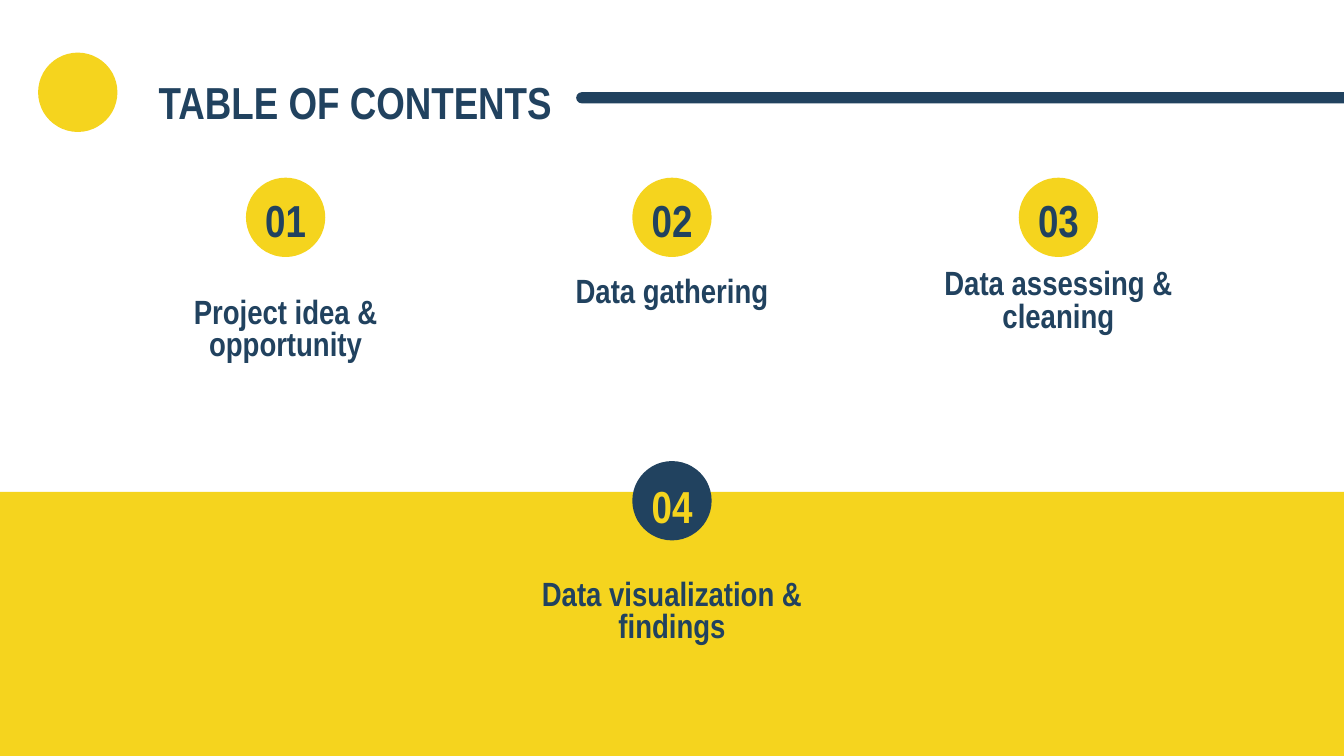
from dataclasses import dataclass

from pptx import Presentation
from pptx.dml.color import RGBColor
from pptx.enum.shapes import MSO_SHAPE as Shape
from pptx.enum.text import MSO_ANCHOR as Anchor, MSO_AUTO_SIZE as AutoSize, PP_ALIGN as Align
from pptx.util import Pt


@dataclass(frozen=True)
class Theme:
    """Colours, font and type sizes of the slide."""
    navy: RGBColor = RGBColor(0x21, 0x42, 0x5F)
    yellow: RGBColor = RGBColor(0xF5, 0xD4, 0x1E)
    font: str = "Arial Narrow"
    heading: int = 24
    label: int = 18
    inset: float = 7.2
    circle: float = 42.5


THEME = Theme()
SLIDE_WIDTH, SLIDE_HEIGHT = 720, 405
BAND_TOP = 263.5
FIRST_CENTER, COLUMN_STEP = 153, 207


def place(element, left, top, width, height):
    """Move and size an element in points."""
    element.left, element.top = Pt(left), Pt(top)
    element.width, element.height = Pt(width), Pt(height)


def add_block(slide, kind, left, top, width, height, color):
    """Draw a plain filled shape without outline or shadow."""
    block = slide.shapes.add_shape(kind, Pt(left), Pt(top), Pt(width), Pt(height))
    block.shadow.inherit = False
    block.fill.solid()
    block.fill.fore_color.rgb = color
    block.line.fill.background()
    return block


def add_circle(slide, left, top, color):
    """Draw a circle of the common size."""
    add_block(slide, Shape.OVAL, left, top, THEME.circle, THEME.circle, color)


def write(holder, text, *, size=THEME.heading, color=THEME.navy,
          align=Align.CENTER, anchor=Anchor.BOTTOM, spacing=1.0):
    """Fill a text holder with one formatted paragraph."""
    frame = holder.text_frame
    frame.text = text
    frame.word_wrap = True
    frame.auto_size = AutoSize.NONE
    frame.vertical_anchor = anchor
    frame.margin_left = frame.margin_right = Pt(THEME.inset)
    frame.margin_top = frame.margin_bottom = Pt(THEME.inset)
    paragraph = frame.paragraphs[0]
    paragraph.alignment = align
    paragraph.line_spacing = spacing
    for run in paragraph.runs:
        run.font.name = THEME.font
        run.font.size = Pt(size)
        run.font.bold = True
        run.font.color.rgb = color


def add_centered_text(slide, text, center, top, width, height, **style):
    """Add a text box centred on a column."""
    box = slide.shapes.add_textbox(Pt(center - width / 2), Pt(top), Pt(width), Pt(height))
    write(box, text, **style)


def add_heading(slide):
    """Build the title row with its circle and rule."""
    title = slide.shapes.title
    place(title, 77.8, 31.7, 334, 45.4)
    write(title, "TABLE OF CONTENTS", align=Align.LEFT, anchor=Anchor.MIDDLE)
    add_circle(slide, 20.4, 28.2, THEME.yellow)
    rule = add_block(slide, Shape.ROUNDED_RECTANGLE, 308.7, 49.4, 440, 6, THEME.navy)
    rule.adjustments[0] = 0.5


def add_entry(slide, number, label, column, circle_top, number_top, label_top,
              circle_color=THEME.yellow, number_color=THEME.navy):
    """Add a numbered circle with its label."""
    center = FIRST_CENTER + column * COLUMN_STEP
    add_circle(slide, center - THEME.circle / 2, circle_top, circle_color)
    add_centered_text(slide, number, center, number_top, 101, 45.4, color=number_color)
    add_centered_text(slide, label, center, label_top, 162, 33.1,
                      size=THEME.label, spacing=0.8)


def main():
    """Build and save the contents slide."""
    deck = Presentation()
    deck.slide_width, deck.slide_height = Pt(SLIDE_WIDTH), Pt(SLIDE_HEIGHT)
    slide = deck.slides.add_slide(deck.slide_layouts[5])
    add_block(slide, Shape.RECTANGLE, 0, BAND_TOP, SLIDE_WIDTH,
              SLIDE_HEIGHT - BAND_TOP, THEME.yellow)
    add_heading(slide)

    upper_entries = [
        ("Project idea & opportunity", 168.5),
        ("Data gathering", 140.4),
        ("Data assessing &\vcleaning", 153.4),
    ]
    for column, (label, label_top) in enumerate(upper_entries):
        add_entry(slide, f"{column + 1:02}", label, column, 95.2, 93.6, label_top)
    add_entry(slide, "04", "Data visualization & findings", 1, 247, 247, 319.7,
              circle_color=THEME.navy, number_color=THEME.yellow)
    deck.save("out.pptx")


if __name__ == "__main__":
    main()
